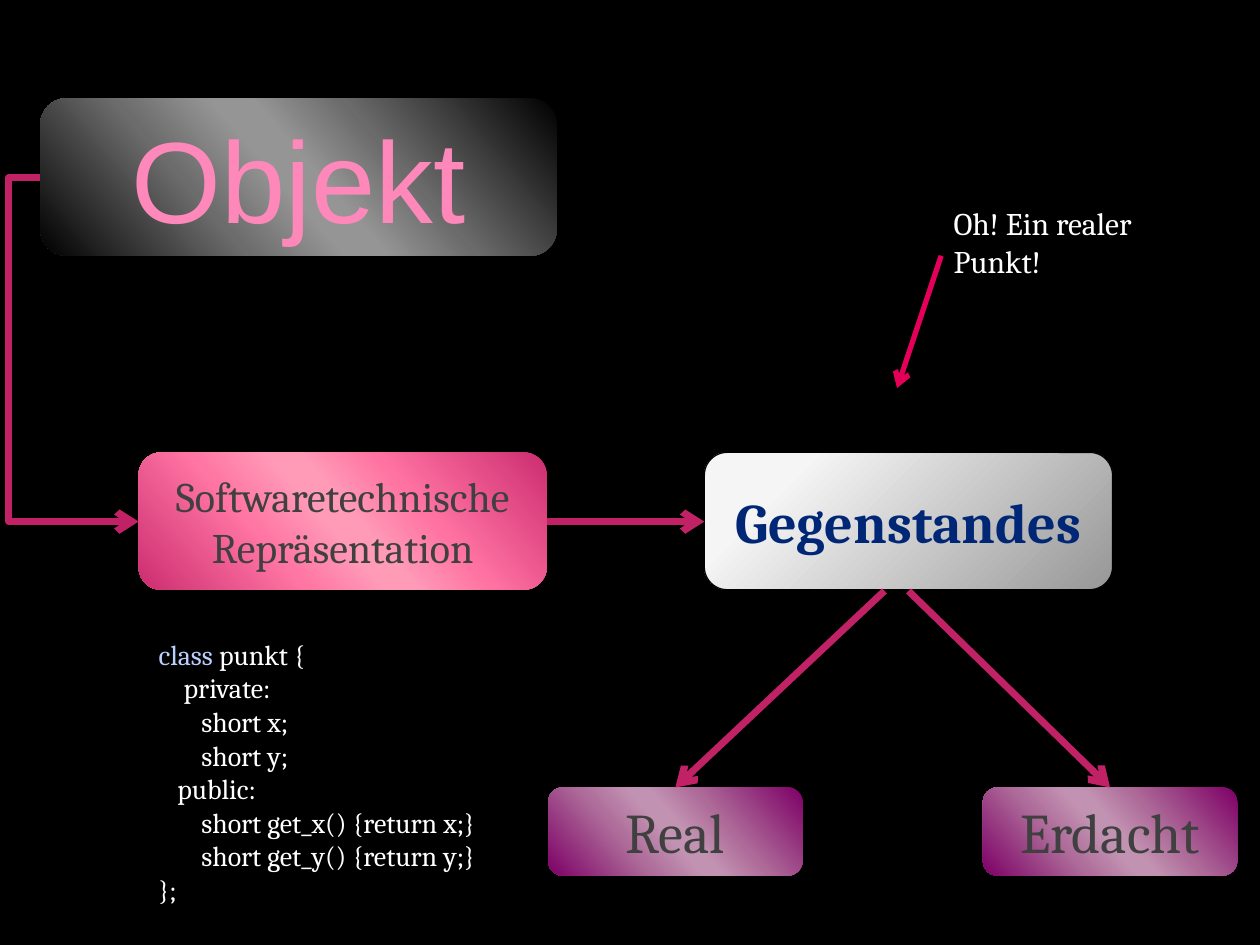
"""Build the slide explaining the term Objekt with boxes, arrows and a class listing."""
from lxml import etree
from pptx import Presentation
from pptx.dml.color import RGBColor
from pptx.enum import shapes, text
from pptx.oxml import parse_xml
from pptx.oxml.ns import nsdecls, qn
from pptx.util import Inches, Pt

COLORS = {"black": "000000", "white": "FFFFFF", "title": "FF88BA", "gray": "404040",
          "navy": "002776", "keyword": "B9D0FF", "arrow": "C12165", "pointer": "E40059"}
LINEAR = '<a:lin ang="8340000" scaled="0"/>'
RADIAL = ('<a:path path="circle"><a:fillToRect l="-15000" t="-15000" '
          'r="115000" b="115000"/></a:path>')
BAND = (0, 33, 47, 53, 68, 100)
GRADIENTS = {
    "dark": (BAND, "000000 6B6B6B 959595 959595 6C6C6C 000000", LINEAR),
    "pink": (BAND, "CC2D70 FF73A2 FF9AB7 FF9AB7 FF75A3 CC2D70", LINEAR),
    "silver": ((20, 100), "F5F5F5 979797", RADIAL),
    "purple": (BAND, "7D0066 AE6B99 C292B2 C292B2 AE6C9A 7D0066", LINEAR),
}


def add_run(p, words, color, **formats):
    r = p.add_run()
    r.text = words
    r.font.color.rgb = RGBColor.from_string(COLORS[color])
    for name, value in formats.items():
        setattr(r.font, name, value)


def add_arrow(kind, x1, y1, x2, y2, color, width):
    s = slide.shapes.add_connector(kind, Inches(x1), Inches(y1), Inches(x2), Inches(y2))
    s.line.color.rgb = RGBColor.from_string(COLORS[color])
    s.line.width = Pt(width)
    etree.SubElement(s.line._get_or_add_ln(), qn("a:tailEnd"), type="arrow")
    etree.SubElement(s._element.spPr, qn("a:effectLst"))
    return s


prs = Presentation()
prs.slide_width, prs.slide_height = Inches(10), Inches(7.5)
slide = prs.slides.add_slide(prs.slide_layouts[6])
slide.background.fill.solid()
slide.background.fill.fore_color.rgb = RGBColor.from_string(COLORS["black"])

boxes = [
    ("Objekt", 0.32, 0.78, 4.1, 1.25, "dark", "title", {"size": Pt(66), "name": "Arial"}),
    ("Softwaretechnische Repräsentation", 1.1, 3.59, 3.24, 1.09, "pink", "gray",
     {"size": Pt(24), "name": "Cambria"}),
    ("Gegenstandes", 5.59, 3.59, 3.24, 1.09, "silver", "navy",
     {"size": Pt(32), "name": "Cambria", "bold": True}),
    ("Real", 4.35, 6.25, 2.02, 0.7, "purple", "gray", {"size": Pt(32), "name": "Cambria"}),
    ("Erdacht", 7.8, 6.25, 2.02, 0.7, "purple", "gray", {"size": Pt(32), "name": "Cambria"}),
]
for words, x, y, w, h, gradient, color, formats in boxes:
    s = slide.shapes.add_shape(shapes.MSO_SHAPE.ROUNDED_RECTANGLE,
                               Inches(x), Inches(y), Inches(w), Inches(h))
    s.shadow.inherit = False
    s.line.fill.background()
    if gradient == "silver":
        s.line.color.rgb = RGBColor.from_string(COLORS["black"])
        s.line.width = Pt(0.75)
    positions, hues, direction = GRADIENTS[gradient]
    stops = "".join(f'<a:gs pos="{pos * 1000}"><a:srgbClr val="{hue}"/></a:gs>'
                    for pos, hue in zip(positions, hues.split()))
    s._element.spPr.find(qn("a:prstGeom")).addnext(parse_xml(
        f'<a:gradFill {nsdecls("a")} rotWithShape="1"><a:gsLst>{stops}</a:gsLst>'
        f'{direction}</a:gradFill>'))
    tf = s.text_frame
    tf.word_wrap = True
    tf.vertical_anchor = text.MSO_ANCHOR.MIDDLE
    p = tf.paragraphs[0]
    p.alignment = text.PP_ALIGN.CENTER
    add_run(p, words, color, **formats)

elbow = add_arrow(shapes.MSO_CONNECTOR.ELBOW, 0.32, 1.41, 1.1, 4.14, "arrow", 4)
guides = elbow._element.spPr.find(qn("a:prstGeom")).get_or_add_avLst()
etree.SubElement(guides, qn("a:gd"), name="adj1", fmla="val -32000")
for ends in [(4.34, 4.14, 5.59, 4.14), (7.02, 4.69, 5.36, 6.25), (7.21, 4.69, 8.81, 6.25)]:
    add_arrow(shapes.MSO_CONNECTOR.STRAIGHT, *ends, "arrow", 4)

body = {"size": Pt(16), "name": "Cambria"}
code = [(0, "class punkt {"), (0.2, "private:"), (0.34, "short x;"), (0.34, "short y;"),
        (0.15, "public:"), (0.34, "short get_x() {return x;}"),
        (0.34, "short get_y() {return y;}"), (0, "};")]
tf = slide.shapes.add_textbox(Inches(1.16), Inches(5.01), Inches(3.32), Inches(2.26)).text_frame
tf.word_wrap = True
for i, (indent, line) in enumerate(code):
    p = tf.add_paragraph() if i else tf.paragraphs[0]
    p._p.get_or_add_pPr().set("marL", str(Inches(indent)))
    if line.startswith("class"):
        add_run(p, "class", "keyword", **body)
        line = line.removeprefix("class")
    add_run(p, line, "white", **body)

tf = slide.shapes.add_textbox(Inches(7.47), Inches(1.56), Inches(2.15), Inches(0.71)).text_frame
tf.word_wrap = True
tf.vertical_anchor = text.MSO_ANCHOR.BOTTOM
add_run(tf.paragraphs[0], "Oh! Ein realer Punkt!", "white", size=Pt(18), name="Cambria")
add_arrow(shapes.MSO_CONNECTOR.STRAIGHT, 7.47, 2.03, 7.12, 3.08, "pointer", 3)

prs.save("out.pptx")
